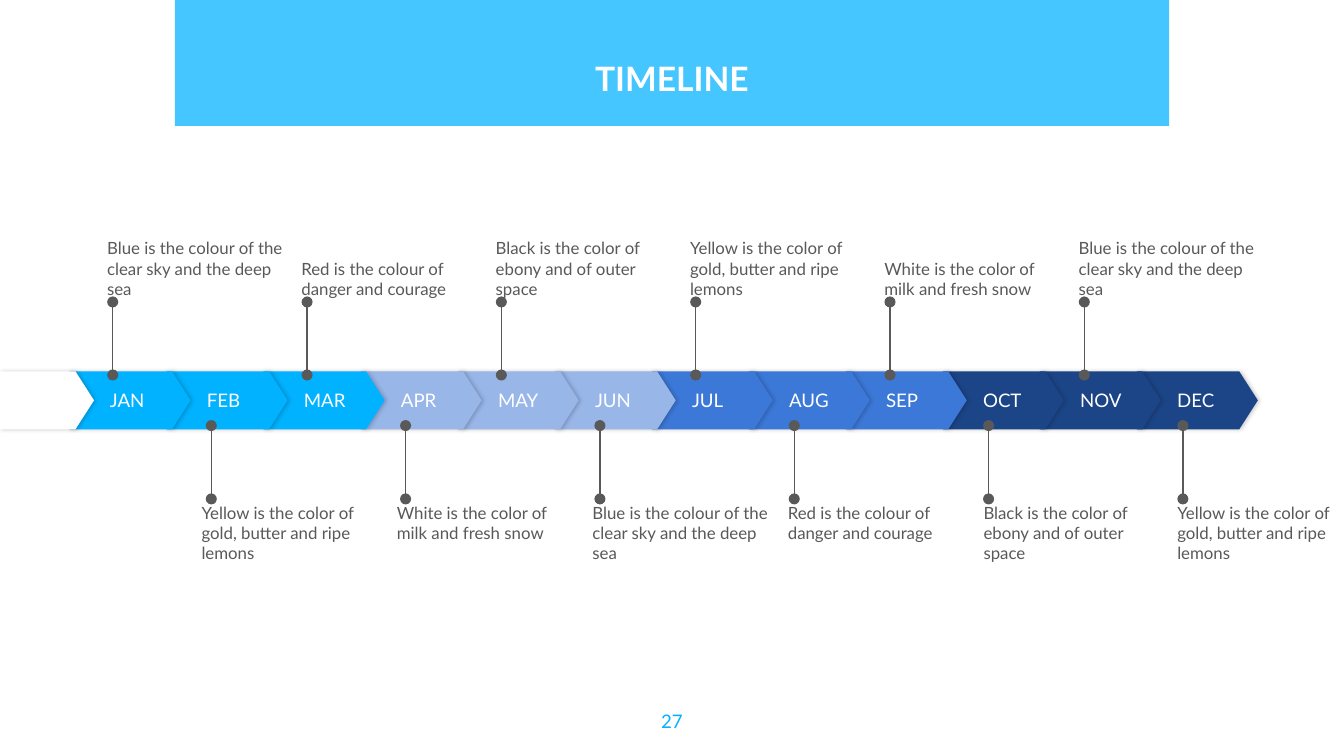
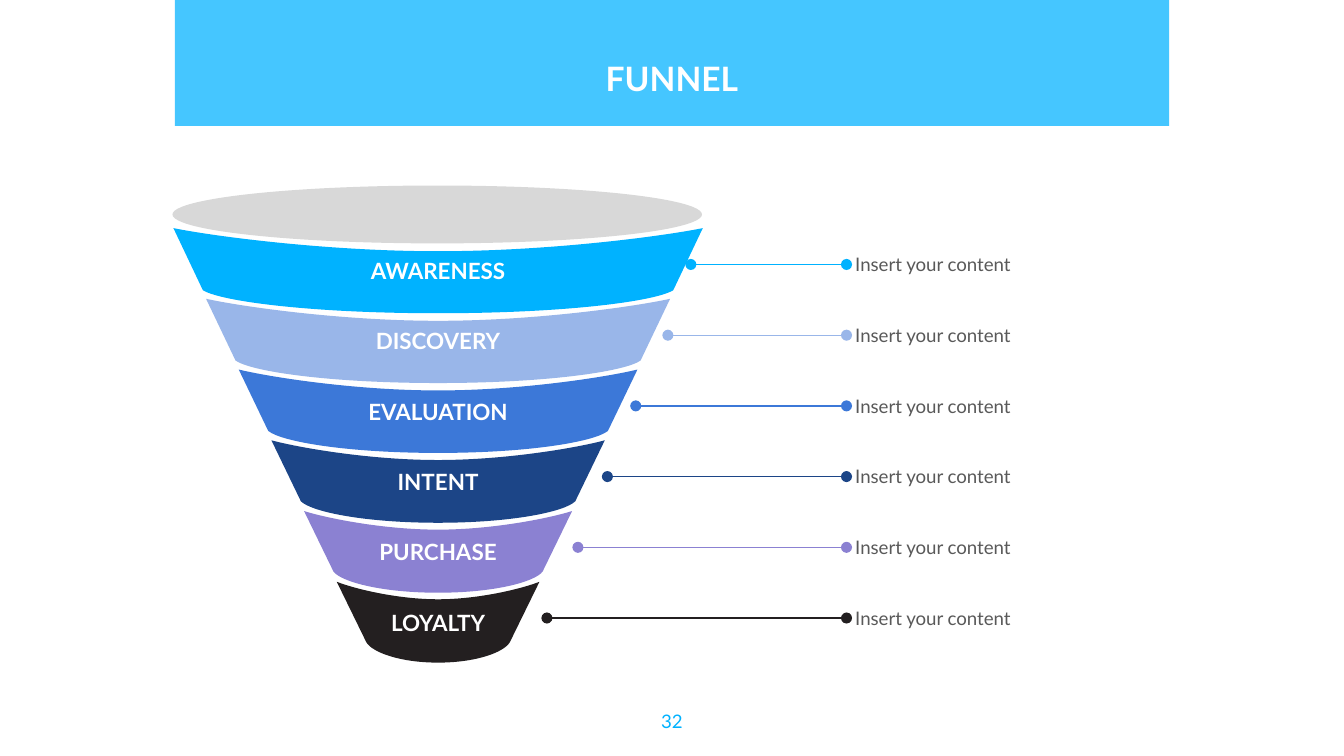
from dataclasses import dataclass

from lxml import etree
from pptx import Presentation
from pptx.dml.color import RGBColor
from pptx.enum.shapes import MSO_CONNECTOR, MSO_SHAPE
from pptx.enum.text import MSO_ANCHOR, PP_ALIGN
from pptx.oxml.ns import qn
from pptx.util import Pt

TOP, MIDDLE, BOTTOM = MSO_ANCHOR.TOP, MSO_ANCHOR.MIDDLE, MSO_ANCHOR.BOTTOM
LEFT, CENTER = PP_ALIGN.LEFT, PP_ALIGN.CENTER
RECTANGLE, PENTAGON, OVAL = MSO_SHAPE.RECTANGLE, MSO_SHAPE.PENTAGON, MSO_SHAPE.OVAL
STRAIGHT = MSO_CONNECTOR.STRAIGHT


@dataclass(frozen=True)
class Theme:
    font: str = "Lato"
    title_size: float = 18
    stage_size: float = 12
    label_size: float = 10
    note_size: float = 9
    white: RGBColor = RGBColor(0xFF, 0xFF, 0xFF)
    text: RGBColor = RGBColor(0x59, 0x59, 0x59)
    rim: RGBColor = RGBColor(0xD8, 0xD8, 0xD8)
    cyan: RGBColor = RGBColor(0x00, 0xB2, 0xFF)
    pale_blue: RGBColor = RGBColor(0x99, 0xB6, 0xE9)
    blue: RGBColor = RGBColor(0x3C, 0x78, 0xD8)
    navy: RGBColor = RGBColor(0x1C, 0x45, 0x87)
    violet: RGBColor = RGBColor(0x8B, 0x81, 0xD2)
    black: RGBColor = RGBColor(0x23, 0x1F, 0x20)


theme = Theme()


def set_text(shape, text, size, color, bold=False, align=LEFT, anchor=TOP, insets=(0, 0, 0, 0)):
    """Write one run into a shape; insets are left, top, right, bottom in points."""
    frame = shape.text_frame
    frame.word_wrap = True
    frame.vertical_anchor = anchor
    frame.margin_left, frame.margin_top, frame.margin_right, frame.margin_bottom = map(Pt, insets)
    paragraph = frame.paragraphs[0]
    paragraph.alignment = align
    run = paragraph.add_run()
    run.text = text
    run.font.name = theme.font
    run.font.size = Pt(size)
    run.font.bold = bold
    run.font.color.rgb = color


def add_dotted_line(slide, start_x, start_y, end_x, end_y, color):
    """Draw a thin line with a round dot at each end."""
    line = slide.shapes.add_connector(STRAIGHT, Pt(start_x), Pt(start_y), Pt(end_x), Pt(end_y))
    line.line.color.rgb = color
    line.line.width = Pt(0.75)
    properties = line.element.spPr
    outline = properties.find(qn("a:ln"))
    for end in ("a:headEnd", "a:tailEnd"):
        etree.SubElement(outline, qn(end), type="oval")
    etree.SubElement(properties, qn("a:effectLst"))


presentation = Presentation()
presentation.slide_width = Pt(720)
presentation.slide_height = Pt(405)
blank_layout = presentation.slide_layouts[6]

# Translucent backdrop and title band, title and page number
BANDS = [(0, 720, 406.8, theme.white, "27000"), (93.7, 532.6, 67.5, theme.cyan, "73000")]
slides = []
for title, number in (("TIMELINE", "27"), ("FUNNEL", "32")):
    slide = presentation.slides.add_slide(blank_layout)
    slides.append(slide)
    for left, width, height, color, opacity in BANDS:
        band = slide.shapes.add_shape(RECTANGLE, Pt(left), 0, Pt(width), Pt(height))
        band.shadow.inherit = False
        band.fill.solid()
        band.fill.fore_color.rgb = color
        band.line.fill.background()
        band_color = band.element.spPr.find(".//" + qn("a:srgbClr"))
        etree.SubElement(band_color, qn("a:alpha"), val=opacity)
    title_box = slide.shapes.add_textbox(Pt(93.6), Pt(23.8), Pt(532.8), Pt(39.6))
    set_text(title_box, title, theme.title_size, theme.white, True, CENTER, insets=[7.2] * 4)
    number_box = slide.shapes.add_textbox(Pt(338.4), Pt(373.7), Pt(43.2), Pt(31))
    set_text(number_box, number, theme.label_size, theme.cyan, align=CENTER, insets=(7.2, 8.8, 7.2, 7.2))

timeline_slide, funnel_slide = slides

# Timeline: months run from right to left so that each overlaps the next
MONTHS = ["JAN", "FEB", "MAR", "APR", "MAY", "JUN", "JUL", "AUG", "SEP", "OCT", "NOV", "DEC"]
QUARTER_COLORS = [theme.cyan, theme.pale_blue, theme.blue, theme.navy]
MONTH_PITCH = 51.98

arrows = [
    (37.3 + MONTH_PITCH * index, 64.8, QUARTER_COLORS[index // 3], month)
    for index, month in enumerate(MONTHS)
]
arrows.insert(0, (0, 50.4, theme.white, None))
for left, width, color, month in reversed(arrows):
    arrow = timeline_slide.shapes.add_shape(PENTAGON, Pt(left), Pt(199), Pt(width), Pt(31))
    arrow.adjustments[0] = 0.32
    arrow.fill.solid()
    arrow.fill.fore_color.rgb = color
    arrow.line.fill.background()
    arrow.shadow.inherit = False
    effects = arrow.element.spPr.find(qn("a:effectLst"))
    shadow = etree.SubElement(
        effects, qn("a:outerShdw"), blurRad=str(Pt(2.2)), dist=str(Pt(0.8)), dir="0", rotWithShape="0"
    )
    shadow_color = etree.SubElement(shadow, qn("a:srgbClr"), val="000000")
    etree.SubElement(shadow_color, qn("a:alpha"), val="20000")
    if month:
        set_text(arrow, month, theme.label_size, theme.white, anchor=MIDDLE, insets=(21.6, 0, 0, 0))

BLUE_NOTE = "Blue is the colour of the clear sky and the deep sea"
RED_NOTE = "Red is the colour of danger and courage"
BLACK_NOTE = "Black is the color of ebony and of outer space"
YELLOW_NOTE = "Yellow is the color of gold, butter and ripe lemons"
WHITE_NOTE = "White is the color of milk and fresh snow"
NOTES_ABOVE = [BLUE_NOTE, RED_NOTE, BLACK_NOTE, YELLOW_NOTE, WHITE_NOTE, BLUE_NOTE]
NOTES_BELOW = [YELLOW_NOTE, WHITE_NOTE, BLUE_NOTE, RED_NOTE, BLACK_NOTE, YELLOW_NOTE]
LEFTS_ABOVE = [57.4 + 104.1 * index for index in range(6)]
LEFTS_BELOW = [108, 212.6, 317.4, 422.1, 526.9, 630.7]

# notes, note lefts, first line x, line start y, line end y, note top, anchor
for notes, lefts, line_x, start_y, end_y, note_top, anchor in (
    (NOTES_ABOVE, LEFTS_ABOVE, 60.4, 200.9, 161.8, 118.2, BOTTOM),
    (NOTES_BELOW, LEFTS_BELOW, 113.2, 267.3, 228, 269.3, TOP),
):
    for index, (note, left) in enumerate(zip(notes, lefts)):
        x = line_x + 104.1 * index
        add_dotted_line(timeline_slide, x, start_y, x, end_y, theme.text)
        width = min(98.6, 713 - left)
        note_box = timeline_slide.shapes.add_textbox(Pt(left), Pt(note_top), Pt(width), Pt(41.8))
        set_text(note_box, note, theme.note_size, theme.text, anchor=anchor)

# Funnel: each stage is a symmetric band between two sagging curves
STAGES = [
    ("AWARENESS", theme.cyan, 370.1),
    ("DISCOVERY", theme.pale_blue, 357.8),
    ("EVALUATION", theme.blue, 340.6),
    ("INTENT", theme.navy, 325.4),
    ("PURCHASE", theme.violet, 309.6),
    ("LOYALTY", theme.black, 293),
]
FUNNEL_X = 234.7

funnel = funnel_slide.shapes.add_group_shape()
for index, (stage, color, line_start) in enumerate(STAGES):
    half_top = 141.8 - 17.5 * index
    half_bottom = half_top - 15.8
    top_edge, top_centre = 122.2 + 37.9 * index, 134.6 + 37.3 * index
    bottom_edge, bottom_centre = 155.5 + 37.7 * index, 167.8 + 37.44 * index
    top_control = top_centre - 0.65 * (top_centre - top_edge)
    bottom_control = bottom_centre - 0.5 * (bottom_centre - bottom_edge)
    # From the middle of each curve to its right end: centre, two controls, end
    top_curve = [
        (0, top_centre), (0.42 * half_top, top_centre), (0.85 * half_top, top_control), (half_top, top_edge)
    ]
    bottom_curve = [
        (0, bottom_centre), (0.53 * half_bottom, bottom_centre),
        (0.92 * half_bottom, bottom_control), (half_bottom, bottom_edge),
    ]
    top_left = [(-x, y) for x, y in top_curve[1:]]
    bottom_left = [(-x, y) for x, y in bottom_curve[:0:-1]]
    outline = top_left[-1:] + bottom_left + bottom_curve + top_curve[::-1] + top_left
    points = [(Pt(FUNNEL_X + x), Pt(y)) for x, y in outline]
    builder = funnel.shapes.build_freeform(*points[0])
    builder.add_line_segments(points[1:], close=True)
    band = builder.convert_to_shape()

    # Segments 0 and 7 are the straight sides; the others join in threes into curves
    segments = list(band.element.iter(qn("a:lnTo")))
    for first in (1, 4, 8, 11):
        curve = etree.Element(qn("a:cubicBezTo"))
        segments[first].addprevious(curve)
        for segment in segments[first:first + 3]:
            curve.append(segment[0])
            segment.getparent().remove(segment)

    band.shadow.inherit = False
    band.fill.solid()
    band.fill.fore_color.rgb = color
    band.line.fill.background()
    set_text(band, stage, theme.stage_size, theme.white, True, CENTER, MIDDLE, (5, 2.9, 5, 2.9))

    y = 141.7 + 37.88 * index
    add_dotted_line(funnel_slide, line_start, y, 453.5, y, color)
    content_box = funnel_slide.shapes.add_textbox(Pt(458.2), Pt(y - 13.9), Pt(167.8), Pt(27.4))
    set_text(content_box, "Insert your content", theme.label_size, theme.text, anchor=MIDDLE)

rim = funnel.shapes.add_shape(OVAL, Pt(92.4), Pt(99.4), Pt(283.7), Pt(31))
rim.shadow.inherit = False
rim.fill.solid()
rim.fill.fore_color.rgb = theme.rim
rim.line.fill.background()

presentation.save("out.pptx")
